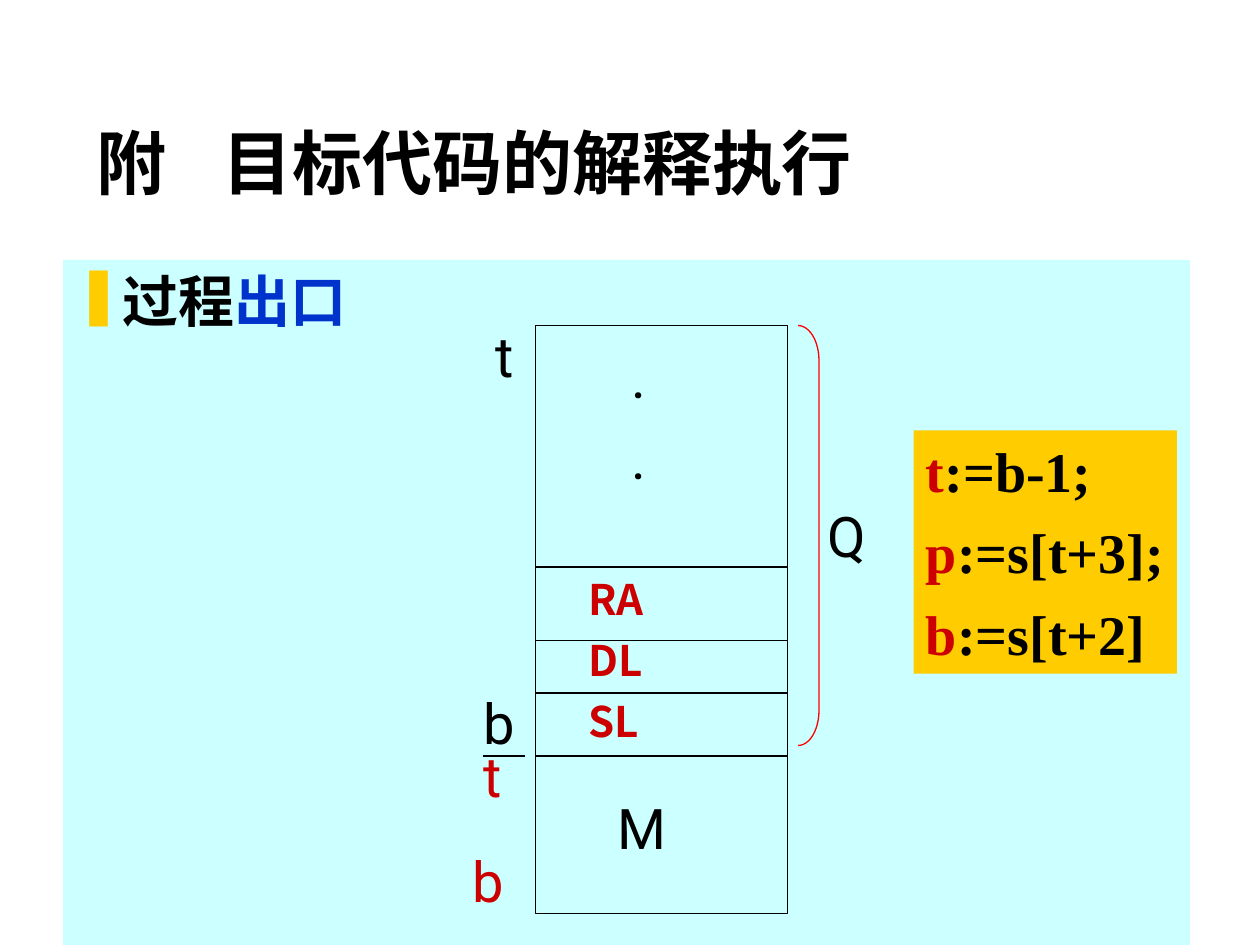
from dataclasses import dataclass

from lxml import etree
from pptx import Presentation
from pptx.dml.color import RGBColor
from pptx.enum.shapes import MSO_CONNECTOR, MSO_SHAPE
from pptx.enum.text import MSO_ANCHOR, PP_ALIGN
from pptx.oxml.ns import qn
from pptx.util import Pt

RECT = MSO_SHAPE.RECTANGLE
BRACKET = MSO_SHAPE.RIGHT_BRACKET
STRAIGHT = MSO_CONNECTOR.STRAIGHT
TOP, BOTTOM = MSO_ANCHOR.TOP, MSO_ANCHOR.BOTTOM
LEFT = PP_ALIGN.LEFT


@dataclass(frozen=True)
class Theme:
    black: str = "000000"
    red: str = "CC0000"
    bracket: str = "FF0000"
    blue: str = "0033CC"
    yellow: str = "FFCC00"
    panel: str = "CCFFFF"
    cjk: str = "Noto Sans CJK SC"
    sans: str = "Roboto"
    serif: str = "Times New Roman"
    title: int = 40
    body: int = 32
    small: int = 24
    line: float = 0.75


T = Theme()


def rgb(color):
    return RGBColor.from_string(color)


def add_child(parent, tag, **attrs):
    return etree.SubElement(parent, qn(tag), attrs)


def write(sp, paragraphs, size=T.body, font=T.sans, bold=False, gap=8,
          anchor=TOP, wrap=True, indent=0, bullet=None, tab=None):
    tf = sp.text_frame
    tf.word_wrap = wrap
    tf.vertical_anchor = anchor
    tf.margin_left = tf.margin_right = Pt(7.2)
    tf.margin_top = tf.margin_bottom = Pt(3.6)
    for i, runs in enumerate(paragraphs):
        p = tf.paragraphs[0] if i == 0 else tf.add_paragraph()
        p.alignment = LEFT
        p.space_before = Pt(gap if i else 0)
        pPr = p._p.get_or_add_pPr()
        pPr.set("marL", str(Pt(indent)))
        pPr.set("indent", str(Pt(-indent if bullet else 0)))
        if bullet:
            add_child(add_child(pPr, "a:buClr"), "a:srgbClr", val=T.yellow)
            add_child(pPr, "a:buChar", char=bullet)
        if tab:
            add_child(add_child(pPr, "a:tabLst"), "a:tab", pos=str(Pt(tab)), algn="l")
        for text, color in runs:
            r = p.add_run()
            r.text = text
            r.font.size, r.font.name, r.font.bold = Pt(size), font, bold
            r.font.color.rgb = rgb(color)
            add_child(r._r.get_or_add_rPr(), "a:ea", typeface=font)


def add_box(slide, x, y, w, h, fill=None, line=None, kind=RECT):
    sp = slide.shapes.add_shape(kind, Pt(x), Pt(y), Pt(w), Pt(h))
    sp.shadow.inherit = False
    if fill:
        sp.fill.solid()
        sp.fill.fore_color.rgb = rgb(fill)
    else:
        sp.fill.background()
    if line:
        sp.line.color.rgb = rgb(line)
        sp.line.width = Pt(T.line)
    else:
        sp.line.fill.background()
    return sp


def add_text(slide, x, y, w, h, paragraphs, **fmt):
    write(slide.shapes.add_textbox(Pt(x), Pt(y), Pt(w), Pt(h)), paragraphs, **fmt)


def add_rule(slide, x, y, w):
    cn = slide.shapes.add_connector(STRAIGHT, Pt(x), Pt(y), Pt(x + w), Pt(y))
    cn.line.color.rgb = rgb(T.black)
    cn.line.width = Pt(T.line)
    add_child(cn._element.spPr, "a:effectLst")


def place_title(slide, x, y, w, h):
    sp = slide.shapes.title
    sp.left, sp.top, sp.width, sp.height = Pt(x), Pt(y), Pt(w), Pt(h)
    write(sp, [[("附\t目标代码的解释执行", T.black)]], size=T.title, font=T.cjk,
          bold=True, anchor=BOTTOM, tab=112)


def place_panel(slide, x, y, w, h):
    sp = add_box(slide, x, y, w, h, fill=T.panel)
    write(sp, [[("过程", T.black), ("出口", T.blue)]], font=T.cjk, bold=True,
          indent=27, bullet="❚")


def place_stack(slide, x, y, w, h):
    split = 246
    add_box(slide, x, y, w, split, line=T.black)
    add_box(slide, x, y + split, w, h - split, line=T.black)
    for dy in (138, 180, 210):
        add_rule(slide, x, y + dy, w)
    add_rule(slide, x - 30, y + split, 24)

    add_text(slide, x + 12, y + 138, 126, 106,
             [[(name, T.red)] for name in ("RA", "DL", "SL")],
             size=T.small, font=T.cjk, bold=True, gap=6, indent=11)
    add_text(slide, x + 48, y + 6, 36, 92, [[(".", T.black)]] * 2)

    bracket = add_box(slide, x + w + 6, y, 12, 240, line=T.bracket, kind=BRACKET)
    bracket.adjustments[0] = 1.67

    labels = (
        ("t", -30, -6, 26, T.black),
        ("b", -37, 204, 34, T.black),
        ("t", -37, 234, 26, T.red),
        ("b", -43, 294, 34, T.red),
        ("M", 39.5, 264, 43, T.black),
        ("Q", 160, 97, 40, T.black),
    )
    for text, dx, dy, width, color in labels:
        add_text(slide, x + dx, y + dy, width, 46, [[(text, color)]], wrap=False)


def place_code(slide, x, y, w, h):
    lines = (("t", ":=b-1;"), ("p", ":=s[t+3];"), ("b", ":=s[t+2]"))
    sp = add_box(slide, x, y, w, h, fill=T.yellow)
    write(sp, [[(name, T.red), (value, T.black)] for name, value in lines],
          font=T.serif, bold=True, wrap=False)


def main():
    prs = Presentation()
    prs.slide_width, prs.slide_height = Pt(720), Pt(540)
    slide = prs.slides.add_slide(prs.slide_layouts[5])
    place_title(slide, 48, 66, 612, 54)
    place_panel(slide, 36, 148.5, 644, 391.5)
    place_stack(slide, 306, 186, 144, 336)
    place_code(slide, 522, 246, 150.5, 139)
    prs.save("out.pptx")


if __name__ == "__main__":
    main()
